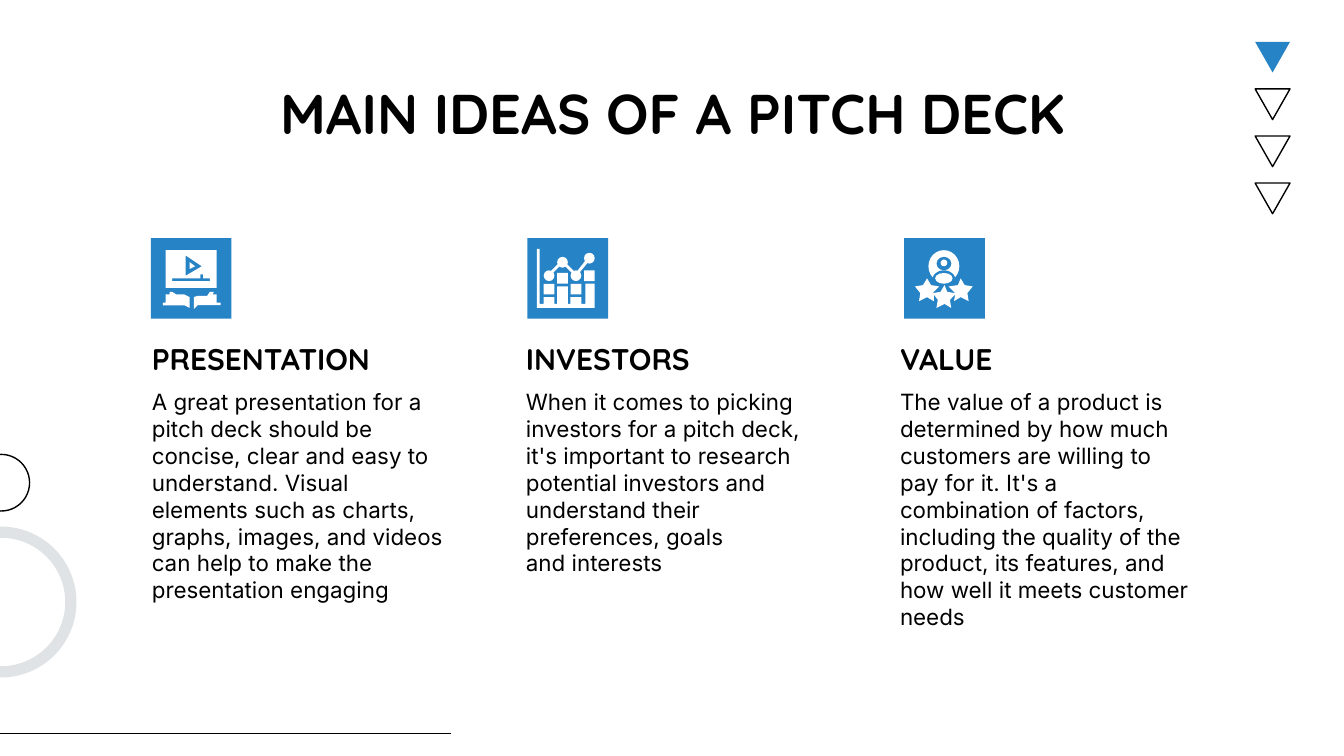
from pptx import Presentation
from pptx.util import Cm, Pt
from pptx.dml.color import RGBColor
from pptx.enum.shapes import MSO_SHAPE as Kind, MSO_CONNECTOR as Link
from pptx.enum.text import PP_ALIGN as Align, MSO_ANCHOR as Anchor
from pptx.oxml.ns import qn
from lxml.etree import SubElement

BLUE, WHITE, BLACK, GREY = "2683C6", "FFFFFF", "000000", "DFE3E5"
UNIT = 0.0254

deck = Presentation()
deck.slide_width, deck.slide_height = Cm(25.4), Cm(14.29)
slide = deck.slides.add_slide(deck.slide_layouts[6])
shapes = slide.shapes


def paint(shape, fill=None, line=None, width=0.75):
    shape.shadow.inherit = False
    for part, tint in ((shape.fill, fill), (shape.line.fill, line)):
        if tint:
            part.solid()
            part.fore_color.rgb = RGBColor.from_string(tint)
        else:
            part.background()
    if line:
        shape.line.width = Pt(width)
    return shape


def write(box, lines, look, align=Align.LEFT, anchor=Anchor.TOP):
    frame = shapes.add_textbox(*map(Cm, box)).text_frame
    pad = Cm(0.25)
    form = dict(word_wrap=True, vertical_anchor=anchor, margin_left=pad,
                margin_right=pad, margin_top=pad, margin_bottom=pad)
    for key, value in form.items():
        setattr(frame, key, value)
    frame.text = lines
    for para in frame.paragraphs:
        para.alignment = align
        para.font.color.rgb = RGBColor.from_string(BLACK)
        for key, value in look.items():
            setattr(para.font, key, value)


rule = shapes.add_connector(Link.STRAIGHT, 0, Cm(13.87), Cm(8.53), Cm(13.87))
rule.line.width = Pt(0.75)
rule.line.color.rgb = RGBColor.from_string(BLACK)
SubElement(rule.element.spPr, qn("a:effectLst"))

for left, top, size, tint, width in ((-1.3, 10.06, 2.64, GREY, 6),
                                     (-0.51, 8.59, 1.07, BLACK, 0.75)):
    ring = shapes.add_shape(Kind.OVAL, Cm(left), Cm(top), Cm(size), Cm(size))
    paint(ring, line=tint, width=width)

for row in range(4):
    mark = shapes.add_shape(Kind.ISOSCELES_TRIANGLE, Cm(23.72),
                            Cm(0.79 + 0.89 * row), Cm(0.66), Cm(0.58))
    mark.rotation = 180
    paint(mark, line=BLACK) if row else paint(mark, fill=BLUE)

title = dict(name="Quicksand", size=Pt(30), bold=True)
head = dict(name="Quicksand", size=Pt(16), bold=True)
body = dict(name="Inter", size=Pt(12))
write((2.01, 1.24, 21.41, 1.6), "MAIN IDEAS OF A PITCH DECK", title, Align.CENTER)

screen = [
    [[(11, 9), (11, 37), (49, 37), (49, 9)],
     [(26, 13), (38, 21), (26, 28)],
     [(39, 27), (39, 30), (44, 30), (44, 32), (16, 32), (16, 30), (37, 30), (37, 27)]],
    [[(29, 18), (29, 23), (33, 21)]],
    [[(44, 40), (42, 43), (35, 43), (32, 44), (32, 53), (35, 50), (52, 50),
      (52, 48), (49, 48), (49, 42), (46, 42), (47, 40)]],
    [[(14, 40), (14, 42), (11, 42), (11, 48), (9, 48), (9, 50), (25, 50),
      (29, 52), (29, 44), (25, 42), (19, 42), (16, 40)]],
]
graph = [
    [[(7, 8), (7, 52), (50, 52), (50, 34), (43, 34), (43, 49), (40, 49), (40, 44),
      (32, 44), (32, 49), (30, 49), (30, 36), (22, 36), (22, 49), (20, 49),
      (20, 44), (12, 44), (12, 49), (9, 49), (9, 8)]],
    [[(16, 26), (26, 16), (36, 26), (46, 13), (46, 17), (36, 29), (26, 19), (16, 29)]],
]
stars = [
    [[(17, 30), (14, 35), (8, 36), (12, 41), (11, 47), (17, 44), (22, 47), (22, 42),
      (25, 46), (24, 52), (30, 49), (35, 52), (34, 46), (38, 42), (37, 47), (42, 44),
      (48, 47), (47, 41), (51, 36), (45, 35), (42, 30), (40, 35), (33, 36), (38, 41),
      (32, 40), (30, 35), (27, 40), (21, 41), (26, 36), (20, 35)]],
]
dots = [(Kind.OVAL, x, y, 8, 8, WHITE) for x, y in ((12, 24), (22, 14), (32, 24), (42, 11))]
bars = [(Kind.RECTANGLE, x, y, 8, 8, WHITE) for x, y in ((12, 34), (22, 26), (32, 34), (42, 24))]
face = [(Kind.OVAL, 18, 9, 23, 24, WHITE), (Kind.OVAL, 21, 24, 17, 14, BLUE),
        (Kind.OVAL, 23, 26, 13, 8, WHITE), (Kind.OVAL, 24, 14, 11, 10, BLUE),
        (Kind.OVAL, 27, 16, 5, 5, WHITE)]

cols = [
    ("PRESENTATION", "A great presentation for a pitch deck should be concise, clear "
     "and easy to understand. Visual elements such as charts, graphs, images, and "
     "videos can help to make the presentation engaging", [], screen),
    ("INVESTORS", "When it comes to picking investors for a pitch deck, it's important "
     "to research potential investors and understand their preferences, goals\n"
     "and interests", dots + bars, graph),
    ("VALUE", "The value of a product is determined by how much customers are willing "
     "to pay for it. It's a combination of factors, including the quality of the "
     "product, its features, and how well it meets customer needs", face, stars),
]
for col, (name, text, parts, paths) in enumerate(cols):
    left = 2.62 + 7.07 * col
    write((left, 6.07, 6.05, 1.3), name, head, anchor=Anchor.BOTTOM)
    write((left, 7.09, 6.05, 4.5), text, body)
    side, top = 2.85 + 7.12 * col, 4.5
    for kind, x, y, wide, high, tint in [(Kind.RECTANGLE, 0, 0, 60, 60, BLUE)] + parts:
        paint(shapes.add_shape(kind, Cm(side + x * UNIT), Cm(top + y * UNIT),
                               Cm(wide * UNIT), Cm(high * UNIT)), tint)
    for path in paths:
        pen = shapes.build_freeform(*path[0][0], scale=Cm(UNIT))
        for loop in path:
            pen.move_to(*loop[0])
            pen.add_line_segments(loop[1:], close=True)
        paint(pen.convert_to_shape(Cm(side), Cm(top)), WHITE)

deck.save("out.pptx")
